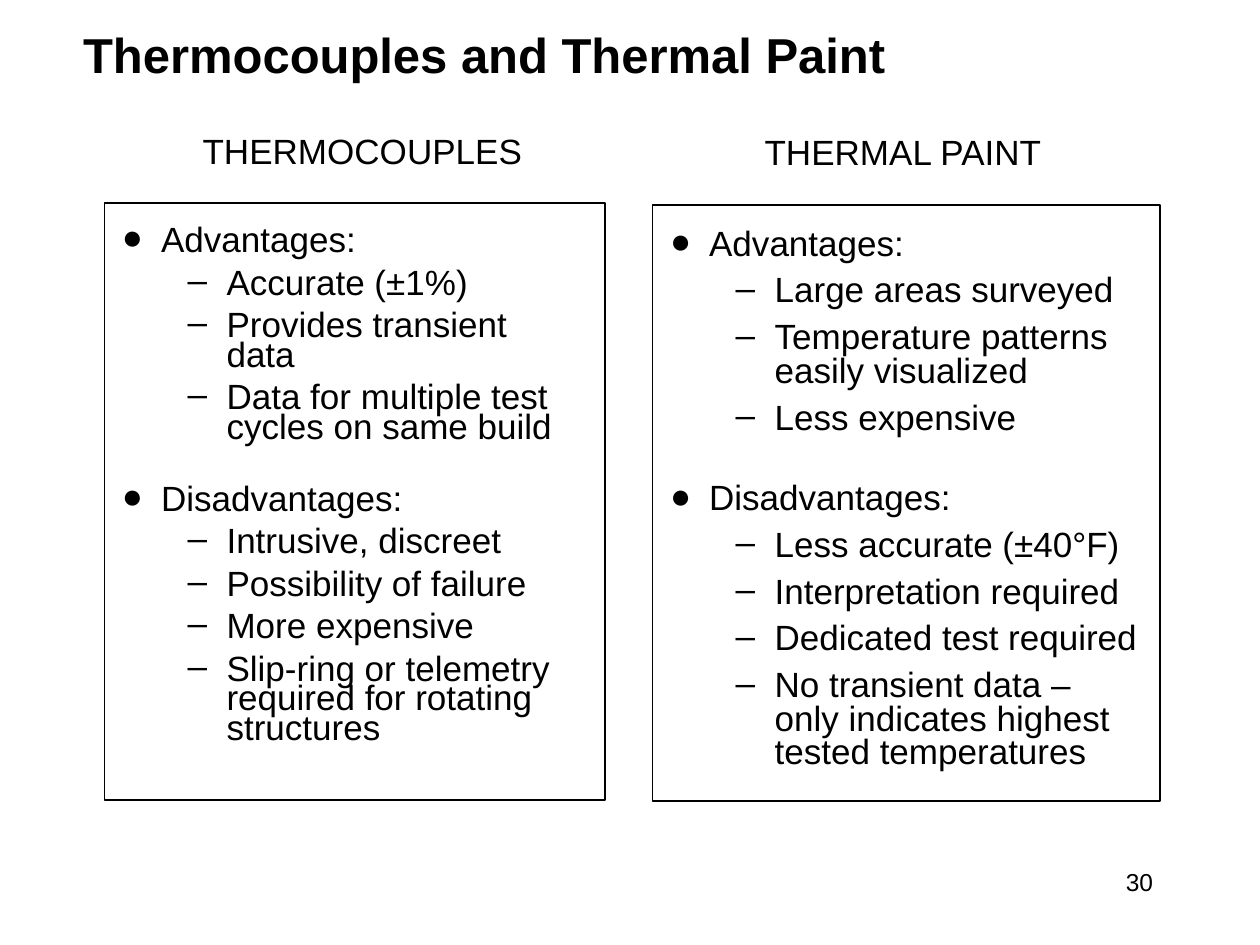
"""Build the slide comparing thermocouples with thermal paint."""
from lxml.etree import SubElement
from pptx import Presentation
from pptx.dml.color import RGBColor
from pptx.enum.shapes import MSO_SHAPE
from pptx.enum.text import MSO_ANCHOR, MSO_AUTO_SIZE, PP_ALIGN
from pptx.oxml.ns import qn
from pptx.util import Inches, Pt

BLACK = RGBColor(0, 0, 0)
WHITE = RGBColor(255, 255, 255)
LINE_HEIGHT = 24
GAP = 7.5

COLUMNS = [
    {
        "heading": "THERMOCOUPLES",
        "heading_at": (1.51, 0.98, 2.74, 0.44),
        "frame_at": (0.83, 1.61, 3.97, 4.74),
        "list_at": (0.87, 1.77, 3.87, 4.63),
        "spacing": 0.7,
        "groups": [
            ("Advantages:", ["Accurate (±1%)", "Provides transient data",
                             "Data for multiple test cycles on same build"]),
            ("Disadvantages:", ["Intrusive, discreet", "Possibility of failure", "More expensive",
                                "Slip-ring or telemetry required for rotating structures"]),
        ],
    },
    {
        "heading": "THERMAL PAINT",
        "heading_at": (5.97, 0.99, 2.43, 0.44),
        "frame_at": (5.18, 1.63, 4.03, 4.73),
        "list_at": (5.22, 1.77, 3.93, 4.61),
        "spacing": 0.8,
        "groups": [
            ("Advantages:", ["Large areas surveyed", "Temperature patterns easily visualized",
                             "Less expensive"]),
            ("Disadvantages:", ["Less accurate (±40°F)", "Interpretation required",
                                "Dedicated test required",
                                "No transient data – only indicates highest tested temperatures"]),
        ],
    },
]


def add_run(p, text, size, bold=False):
    r = p.add_run()
    r.text = text
    r.font.name = "Arial"
    r.font.size = Pt(size)
    r.font.bold = bold
    r.font.color.rgb = BLACK


def add_box(at):
    tf = slide.shapes.add_textbox(*map(Inches, at)).text_frame
    tf.word_wrap = True
    return tf


prs = Presentation()
prs.slide_width, prs.slide_height = Inches(10), Inches(7.5)
slide = prs.slides.add_slide(prs.slide_layouts[5])

title = slide.shapes.title
title.left, title.top, title.width, title.height = map(Inches, (0.56, 0.12, 8.77, 0.68))
tf = title.text_frame
tf.auto_size = MSO_AUTO_SIZE.NONE
tf.vertical_anchor = MSO_ANCHOR.MIDDLE
p = tf.paragraphs[0]
p.alignment = PP_ALIGN.LEFT
p.line_spacing = 0.9
add_run(p, "Thermocouples and Thermal Paint", 28, bold=True)

for column in COLUMNS:
    sp = slide.shapes.add_shape(MSO_SHAPE.RECTANGLE, *map(Inches, column["frame_at"]))
    sp.shadow.inherit = False
    sp.fill.solid()
    sp.fill.fore_color.rgb = WHITE
    sp.line.color.rgb = BLACK
    sp.line.width = Pt(1)

    add_run(add_box(column["heading_at"]).paragraphs[0], column["heading"], 20)

    tf = add_box(column["list_at"])
    spacing = column["spacing"]
    for i, (label, points) in enumerate(column["groups"]):
        for j, text in enumerate([label, *points]):
            p = tf.add_paragraph() if i or j else tf.paragraphs[0]
            p.level = 1 if j else 0
            p.line_spacing = spacing
            if j:
                p.space_before = Pt(GAP)
            else:
                p.space_before = Pt(round(GAP + LINE_HEIGHT * spacing, 1) if i else 0)
            pPr = p._p.get_or_add_pPr()
            pPr.set("marL", str(Inches(0.83 if j else 0.31)))
            pPr.set("indent", str(Inches(-0.31)))
            SubElement(pPr, qn("a:buFont"), typeface="Arial")
            SubElement(pPr, qn("a:buChar"), char="–" if j else "●")
            add_run(p, text, 20)

p = add_box((7.17, 6.83, 2.08, 0.5)).paragraphs[0]
p.alignment = PP_ALIGN.RIGHT
add_run(p, "30", 14)

prs.save("out.pptx")
